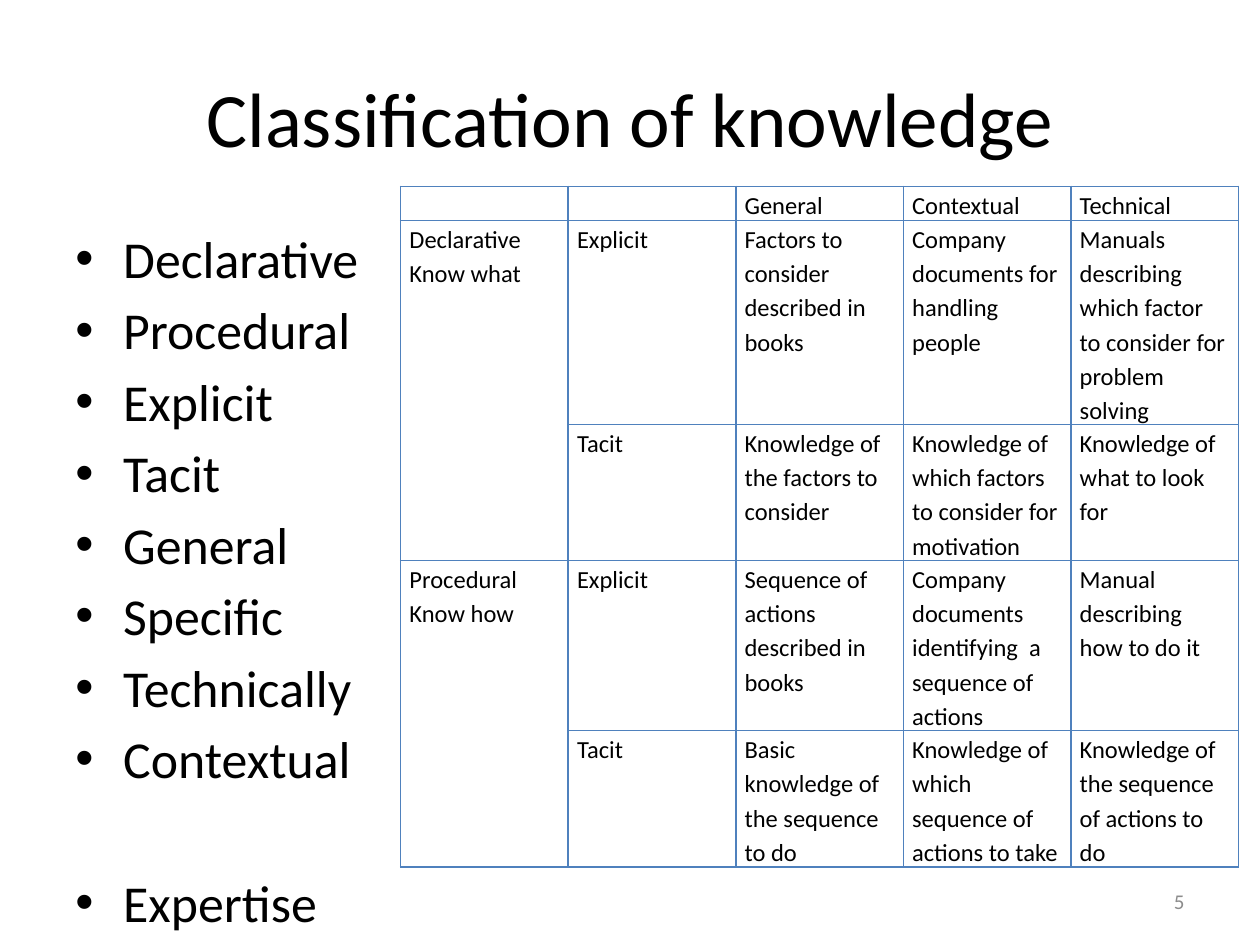
from dataclasses import dataclass

from lxml import etree
from pptx import Presentation, util as u
from pptx.dml.color import RGBColor
from pptx.enum import text as t
from pptx.oxml.ns import qn


@dataclass(frozen=True)
class Theme:
    """Font, colours and type sizes."""
    font: str = "Calibri"
    ink: str = "000000"
    grey: str = "8C8C8C"
    rule: str = "4F81BD"
    title: float = 44
    body: float = 29.6
    cell: float = 14
    page: float = 12


@dataclass(frozen=True)
class Box:
    """Place and size in inches."""
    left: float
    top: float
    width: float
    height: float

    def emu(self) -> list:
        """Give the four lengths for python-pptx."""
        return [u.Inches(n) for n in (self.left, self.top, self.width, self.height)]


THEME = Theme()
TOPICS = ["Declarative", "Procedural", "Explicit", "Tacit", "General",
          "Specific", "Technically", "Contextual", "Expertise"]
ROWS = [
    ["", "", "General", "Contextual", "Technical"],
    ["Declarative\nKnow what", "Explicit", "Factors to consider described in books",
     "Company documents for handling people",
     "Manuals describing which factor to consider for problem solving"],
    ["", "Tacit", "Knowledge of the factors to consider",
     "Knowledge of which factors to consider for motivation",
     "Knowledge of what to look for"],
    ["Procedural\nKnow how", "Explicit", "Sequence of actions described in books",
     "Company documents identifying  a sequence of actions",
     "Manual describing how to do it"],
    ["", "Tacit", "Basic knowledge of the sequence to do",
     "Knowledge of which sequence of actions to take",
     "Knowledge of the sequence of actions to do"],
]
LINES = [1, 6, 4, 5, 4]
LINE = 0.27
COL = 1.33


def assign(item, values: dict) -> None:
    """Set each named attribute of an item."""
    for name, value in values.items():
        setattr(item, name, value)


def write(frame, lines: list, size: float, tint: str = THEME.ink, **form) -> None:
    """Fill a text frame with one paragraph a line."""
    frame.word_wrap = True
    for i, line in enumerate(lines):
        para = frame.paragraphs[0] if i == 0 else frame.add_paragraph()
        assign(para, form)
        if line:
            run = para.add_run()
            run.text = line
            assign(run.font, {"name": THEME.font, "size": u.Pt(size)})
            run.font.color.rgb = RGBColor.from_string(tint)
        else:
            etree.SubElement(para._p, qn("a:endParaRPr"), sz=str(int(size * 100)))


def bullet(para) -> None:
    """Give a paragraph a round bullet and a hanging indent."""
    props = para._p.get_or_add_pPr()
    indent = u.Inches(0.38)
    props.set("marL", str(indent))
    props.set("indent", str(-indent))
    etree.SubElement(props, qn("a:buFont"), typeface="Arial")
    etree.SubElement(props, qn("a:buChar"), char="•")


def border(cell) -> None:
    """Rule all four sides of a cell."""
    props = cell._tc.get_or_add_tcPr()
    for side in ("lnL", "lnR", "lnT", "lnB"):
        line = etree.SubElement(props, qn(f"a:{side}"), w=str(u.Pt(1)))
        fill = etree.SubElement(line, qn("a:solidFill"))
        etree.SubElement(fill, qn("a:srgbClr"), val=THEME.rule)


def head(slide) -> None:
    """Place the title."""
    title = slide.shapes.title
    assign(title, dict(zip(("left", "top", "width", "height"),
                           Box(0.5, 0.3, 9, 1.25).emu())))
    write(title.text_frame, ["Classification of knowledge"], THEME.title,
          alignment=t.PP_ALIGN.CENTER)
    title.text_frame.vertical_anchor = t.MSO_ANCHOR.MIDDLE


def topics(slide) -> None:
    """List the kinds of knowledge, the last one set apart."""
    frame = slide.shapes.add_textbox(*Box(0.5, 1.75, 9, 5.75).emu()).text_frame
    write(frame, TOPICS, THEME.body, space_before=u.Pt(5.3))
    frame.paragraphs[-1].space_before = u.Pt(46.7)
    for para in frame.paragraphs:
        bullet(para)


def matrix(slide) -> None:
    """Draw the table of knowledge classes."""
    cols = len(ROWS[0])
    box = Box(3.18, 1.48, COL * cols, LINE * sum(LINES))
    table = slide.shapes.add_table(len(ROWS), cols, *box.emu()).table
    assign(table, {"first_row": False, "horz_banding": False})
    for col in table.columns:
        col.width = u.Inches(COL)
    pad = u.Inches(0.07)
    for r, row in enumerate(ROWS):
        table.rows[r].height = u.Inches(LINE * LINES[r])
        for c, words in enumerate(row):
            cell = table.cell(r, c)
            assign(cell, {"margin_left": pad, "margin_right": pad,
                          "margin_top": 0, "margin_bottom": 0})
            write(cell.text_frame, words.split("\n"), THEME.cell, line_spacing=1.15)
            border(cell)
            cell.fill.background()
    for r in (1, 3):
        table.cell(r, 0).merge(table.cell(r + 1, 0))


def page(slide) -> None:
    """Write the slide number."""
    frame = slide.shapes.add_textbox(*Box(7.17, 6.95, 2.33, 0.4).emu()).text_frame
    write(frame, ["5"], THEME.page, THEME.grey, alignment=t.PP_ALIGN.RIGHT)
    frame.vertical_anchor = t.MSO_ANCHOR.MIDDLE


def main() -> None:
    """Build and save the slide."""
    deck = Presentation()
    assign(deck, {"slide_width": u.Inches(10), "slide_height": u.Inches(7.5)})
    slide = deck.slides.add_slide(deck.slide_layouts[5])
    for draw in (head, topics, page, matrix):
        draw(slide)
    deck.save("out.pptx")


main()
